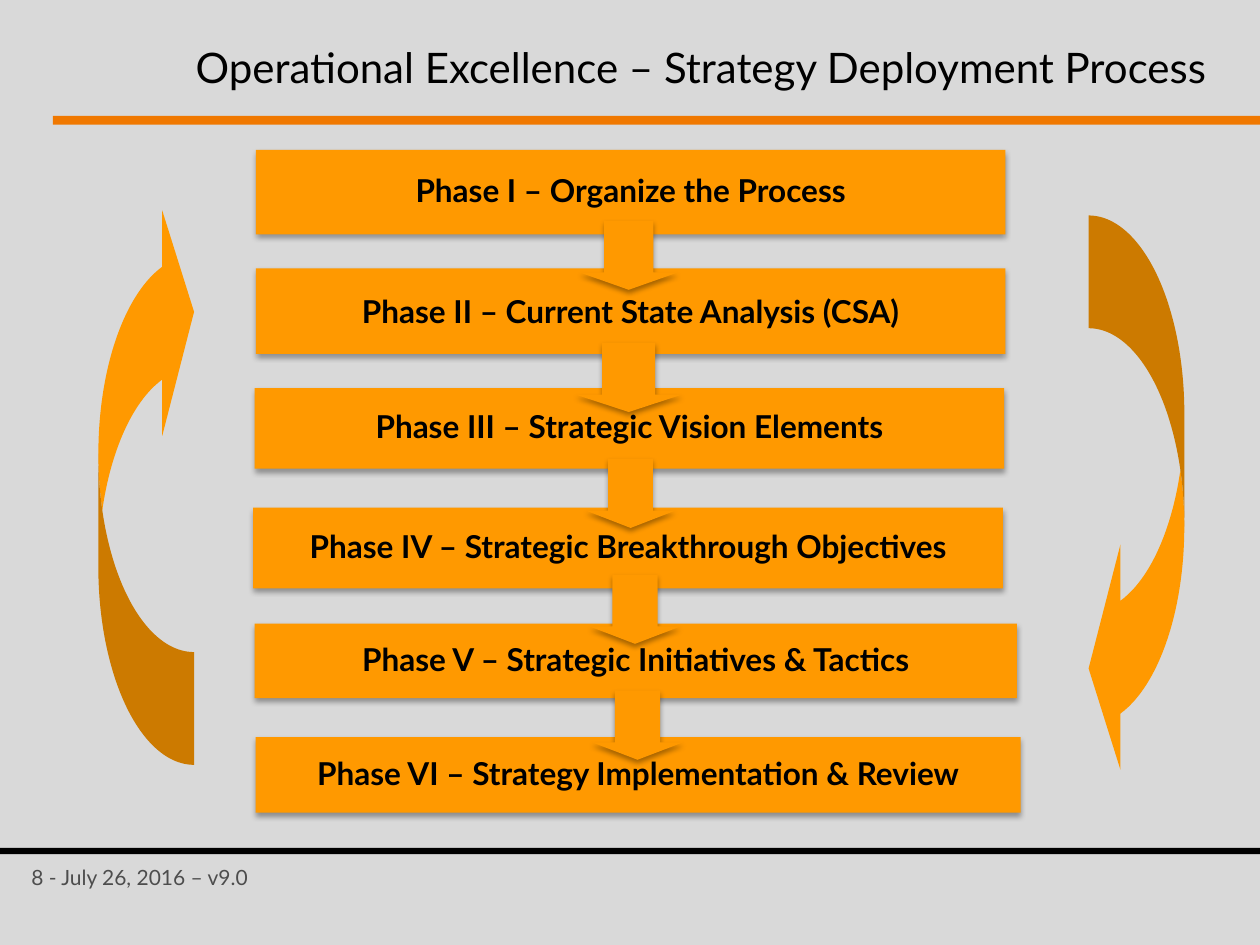
from lxml.etree import SubElement
from pptx import Presentation
from pptx.dml.color import RGBColor
from pptx.enum.shapes import MSO_SHAPE
from pptx.enum.text import MSO_ANCHOR, PP_ALIGN
from pptx.oxml.ns import qn
from pptx.util import Inches, Pt

COLORS = {
    "background": "D9D9D9",
    "rule": "F07800",
    "phase": "FF9900",
    "black": "000000",
    "footer": "4D4D4D",
}
FONT = "Lato"
TITLE = "Operational Excellence – Strategy Deployment Process"
FOOTER = "8 - July 26, 2016 – v9.0"
PHASES = [
    ("Phase I – Organize the Process", (2.03, 1.19, 5.95, 0.67), 0.9),
    ("Phase II – Current State Analysis (CSA)", (2.03, 2.13, 5.95, 0.68), 1.0),
    ("Phase III – Strategic Vision Elements", (2.02, 3.08, 5.95, 0.64), 0.9),
    ("Phase IV – Strategic Breakthrough Objectives", (2.01, 4.03, 5.95, 0.64), 0.9),
    ("Phase V – Strategic Initiatives & Tactics", (2.02, 4.95, 6.05, 0.59), 0.9),
    ("Phase VI – Strategy Implementation & Review", (2.03, 5.85, 6.07, 0.6), 0.9),
]
STEP_ARROWS = [
    (4.6, 1.75, 0.78),
    (4.57, 2.72, 0.84),
    (4.65, 3.64, 0.71),
    (4.68, 4.56, 0.72),
    (4.7, 5.48, 0.72),
]
STEP_ARROW_HEIGHT = 0.55
LOOP_ARROWS = [(8.64, 1.71, 0), (0.78, 1.58, 180)]
LOOP_SIZE = (0.76, 4.49)
LOOP_ADJUSTMENTS = (1.178, 2.355, 0.333)


def write_text(shape, text, size, color="black", bold=False,
               align=PP_ALIGN.LEFT, anchor=MSO_ANCHOR.MIDDLE, spacing=1.0):
    frame = shape.text_frame
    frame.word_wrap = True
    frame.vertical_anchor = anchor
    para = frame.paragraphs[0]
    para.alignment = align
    para.line_spacing = spacing
    para.space_before = Pt(0)
    span = para.add_run()
    span.text = text
    span.font.name = FONT
    span.font.size = Pt(size)
    span.font.bold = bold
    span.font.color.rgb = RGBColor.from_string(COLORS[color])


def add_shadow(shape):
    effects = shape._element.spPr.find(qn("a:effectLst"))
    shadow = SubElement(effects, qn("a:outerShdw"), blurRad=str(Pt(3.1)),
                        dist=str(Pt(1.8)), dir="5400000", rotWithShape="0")
    color = SubElement(shadow, qn("a:srgbClr"), val=COLORS["black"])
    SubElement(color, qn("a:alpha"), val="35000")


def add_filled(page, kind, place, color, shadow=False):
    shape = page.shapes.add_shape(kind, *map(Inches, place))
    shape.shadow.inherit = False
    shape.fill.solid()
    shape.fill.fore_color.rgb = RGBColor.from_string(COLORS[color])
    shape.line.fill.background()
    if shadow:
        add_shadow(shape)
    return shape


def main():
    deck = Presentation()
    deck.slide_width, deck.slide_height = Inches(10), Inches(7.5)
    page = deck.slides.add_slide(deck.slide_layouts[5])
    page.background.fill.solid()
    page.background.fill.fore_color.rgb = RGBColor.from_string(COLORS["background"])

    add_filled(page, MSO_SHAPE.RECTANGLE, (0.42, 0.92, 9.58, 0.07), "rule")
    add_filled(page, MSO_SHAPE.RECTANGLE, (0, 6.73, 10, 0.05), "black")
    footer = page.shapes.add_textbox(*map(Inches, (0.15, 6.81, 2.53, 0.3)))
    write_text(footer, FOOTER, 12, color="footer", anchor=MSO_ANCHOR.TOP)

    title = page.shapes.title
    title.left, title.top, title.width, title.height = map(Inches, (0.38, 0.21, 9.29, 0.64))
    write_text(title, TITLE, 24, align=PP_ALIGN.RIGHT)

    for text, place, spacing in PHASES:
        box = add_filled(page, MSO_SHAPE.RECTANGLE, place, "phase", shadow=True)
        write_text(box, text, 18, bold=True, align=PP_ALIGN.CENTER, spacing=spacing)

    for left, top, width in STEP_ARROWS:
        arrow = add_filled(page, MSO_SHAPE.DOWN_ARROW,
                           (left, top, width, STEP_ARROW_HEIGHT), "phase", shadow=True)
        arrow.adjustments[0], arrow.adjustments[1] = 0.5, 0.25

    for left, top, rotation in LOOP_ARROWS:
        loop = add_filled(page, MSO_SHAPE.CURVED_LEFT_ARROW, (left, top, *LOOP_SIZE), "phase")
        loop.rotation = rotation
        for index, value in enumerate(LOOP_ADJUSTMENTS):
            loop.adjustments[index] = value

    deck.save("out.pptx")


if __name__ == "__main__":
    main()
